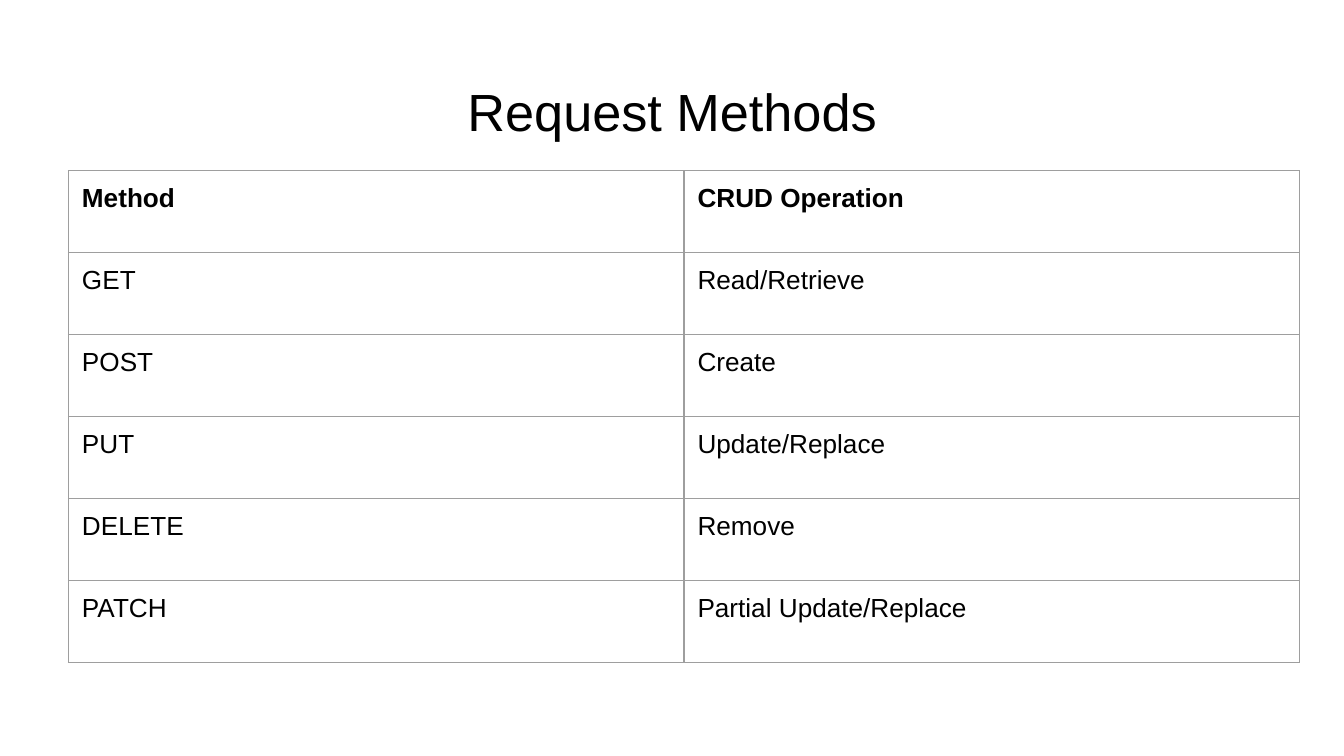
from dataclasses import dataclass
from lxml.etree import SubElement
from pptx import Presentation
from pptx.dml.color import RGBColor
from pptx.enum.text import MSO_ANCHOR, PP_ALIGN
from pptx.oxml.ns import qn
from pptx.util import Inches, Pt


@dataclass(frozen=True)
class Theme:
    font: str = "Arial"
    ink: str = "000000"
    paper: str = "FFFFFF"
    rule: str = "9E9E9E"
    rule_width: float = 0.75
    title_size: int = 28
    body_size: int = 14
    inset: float = 0.1


theme = Theme()


def style_text(frame, size, bold=False):
    for paragraph in frame.paragraphs:
        for run in paragraph.runs:
            run.font.name = theme.font
            run.font.size = Pt(size)
            run.font.bold = bold
            run.font.color.rgb = RGBColor.from_string(theme.ink)


def style_cell(cell):
    cell.fill.background()
    cell.vertical_anchor = MSO_ANCHOR.TOP
    cell.margin_left = cell.margin_right = Inches(theme.inset)
    cell.margin_top = cell.margin_bottom = Inches(theme.inset)
    properties = cell._tc.get_or_add_tcPr()
    # Borders come before the fill in the cell properties
    for position, side in enumerate(("lnL", "lnR", "lnT", "lnB")):
        line = SubElement(properties, qn(f"a:{side}"), w=str(Pt(theme.rule_width)))
        fill = SubElement(line, qn("a:solidFill"))
        SubElement(fill, qn("a:srgbClr"), val=theme.rule)
        properties.insert(position, line)


# Slide
deck = Presentation()
deck.slide_width, deck.slide_height = Inches(10), Inches(5.625)
slide = deck.slides.add_slide(deck.slide_layouts.get_by_name("Title Only"))
slide.background.fill.solid()
slide.background.fill.fore_color.rgb = RGBColor.from_string(theme.paper)

# Title
title = slide.shapes.title
title.left, title.top = Inches(0.34), Inches(0.49)
title.width, title.height = Inches(9.32), Inches(0.63)
heading = title.text_frame
heading.text = "Request Methods"
heading.vertical_anchor = MSO_ANCHOR.TOP
heading.margin_left = heading.margin_right = Inches(theme.inset)
heading.margin_top = heading.margin_bottom = Inches(theme.inset)
heading.paragraphs[0].alignment = PP_ALIGN.CENTER
style_text(heading, theme.title_size)

# Request methods and their operations
methods = [
    ("Method", "CRUD Operation"),
    ("GET", "Read/Retrieve "),
    ("POST", "Create"),
    ("PUT", "Update/Replace"),
    ("DELETE", "Remove"),
    ("PATCH", "Partial Update/Replace"),
]
column_width, row_height = Inches(4.58), Inches(0.61)
grid = slide.shapes.add_table(
    len(methods), 2, Inches(0.51), Inches(1.27),
    2 * column_width, len(methods) * row_height).table
grid.horz_banding = False
for column in grid.columns:
    column.width = column_width

for row, entries in enumerate(methods):
    for column, entry in enumerate(entries):
        cell = grid.cell(row, column)
        cell.text_frame.text = entry
        style_text(cell.text_frame, theme.body_size, bold=row == 0)
        style_cell(cell)

deck.save("out.pptx")
